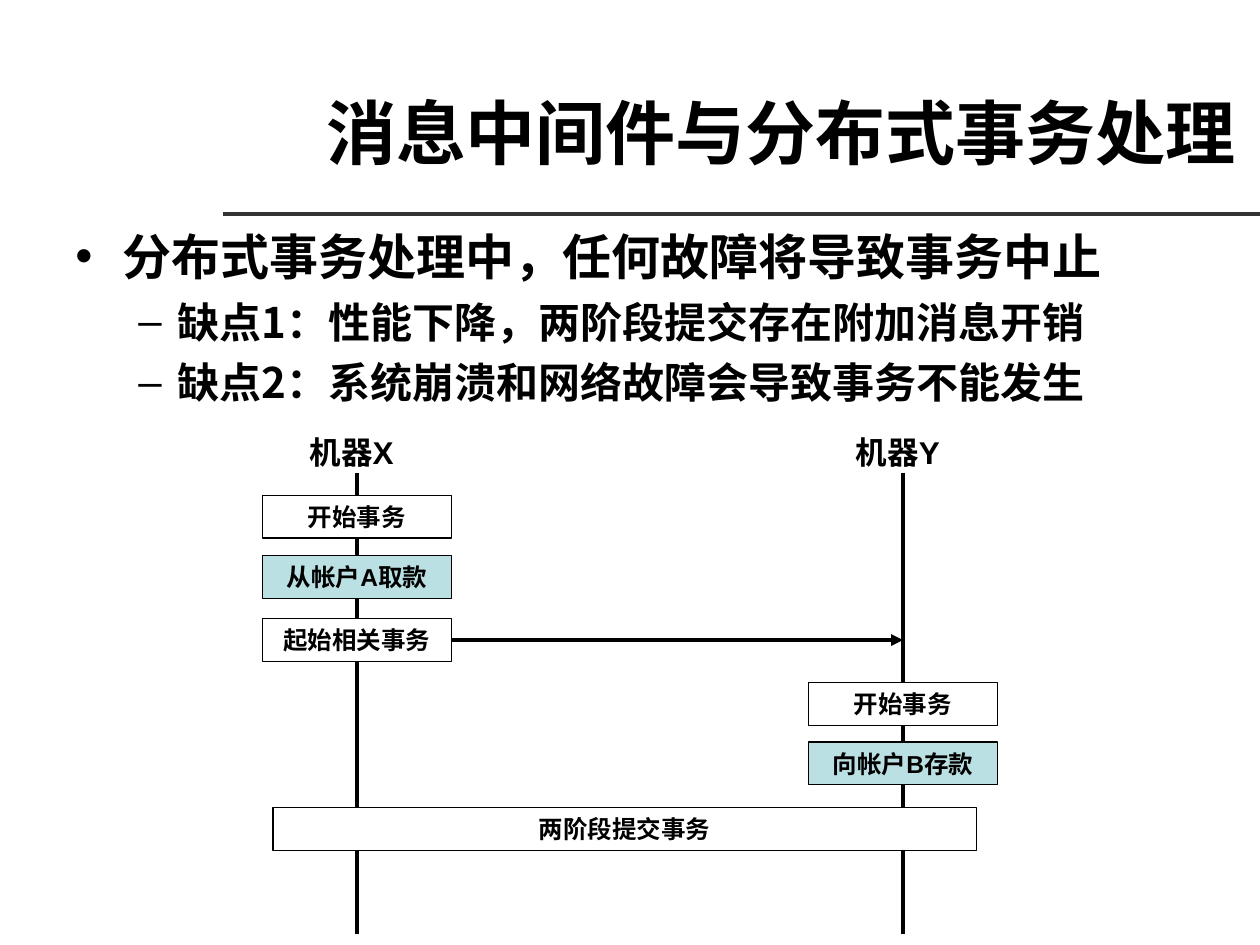
from dataclasses import dataclass

from lxml import etree
from pptx import Presentation
from pptx.dml.color import RGBColor
from pptx.enum import shapes, text
from pptx.oxml import ns
from pptx.util import Pt

BLACK = RGBColor(0x00, 0x00, 0x00)
GRAY = RGBColor(0x33, 0x33, 0x33)
WHITE = RGBColor(0xFF, 0xFF, 0xFF)
TEAL = RGBColor(0xBB, 0xE0, 0xE3)
CJK = "Noto Sans CJK SC"
LATIN = "Arial"

LINE_X, LINE_Y = 204, 516  # lifelines of the two machines
LINE_TOP, LINE_BOTTOM = 270, 534
BOX_W, BOX_H = 108, 24.5
MESSAGE_Y = 365.75


@dataclass
class Bullet:
    text: str
    size: float
    level: int
    mark: str
    indent: float
    hang: float
    before: float


@dataclass
class Step:
    text: str
    center: float
    top: float
    fill: RGBColor = WHITE
    width: float = BOX_W


BULLETS = [
    Bullet("分布式事务处理中，任何故障将导致事务中止", 28, 0, "•", 27, 27, 0),
    Bullet("缺点1：性能下降，两阶段提交存在附加消息开销", 24, 1, "–", 58.5, 22.5, 6),
    Bullet("缺点2：系统崩溃和网络故障会导致事务不能发生", 24, 1, "–", 58.5, 22.5, 6),
]
MACHINES = [("机器X", LINE_X), ("机器Y", LINE_Y)]
STEPS = [
    Step("开始事务", LINE_X, 283),
    Step("从帐户A取款", LINE_X, 317.5, TEAL),
    Step("起始相关事务", LINE_X, 353.5),
    Step("开始事务", LINE_Y, 390),
    Step("向帐户B存款", LINE_Y, 424, TEAL),
    Step("两阶段提交事务", 357, 461.5, width=402),
]


def add_xml(parent, tag: str, **attrs: str):
    return etree.SubElement(parent, ns.qn(tag), attrs)


def style(p, size: float, name: str) -> None:
    f = p.font
    f.size, f.bold, f.name = Pt(size), True, name
    f.color.rgb = BLACK
    add_xml(p._p.pPr.find(ns.qn("a:defRPr")), "a:ea", typeface=CJK)


def add_text(s, content: str, left: float, top: float, width: float,
             height: float, size: float, name: str, align, wrap: bool) -> None:
    tf = s.shapes.add_textbox(Pt(left), Pt(top), Pt(width), Pt(height)).text_frame
    tf.word_wrap = wrap
    tf.vertical_anchor = text.MSO_ANCHOR.MIDDLE
    p = tf.paragraphs[0]
    p.text, p.alignment = content, align
    style(p, size, name)


def add_bullets(s, bullets: list[Bullet]) -> None:
    tf = s.shapes.add_textbox(Pt(36), Pt(126), Pt(664.5), Pt(359.5)).text_frame
    tf.word_wrap = True
    for i, b in enumerate(bullets):
        p = tf.add_paragraph() if i else tf.paragraphs[0]
        p.text, p.level, p.space_before = b.text, b.level, Pt(b.before)
        pPr = p._p.get_or_add_pPr()
        pPr.set("marL", str(Pt(b.indent)))
        pPr.set("indent", str(-Pt(b.hang)))
        add_xml(add_xml(pPr, "a:buClr"), "a:srgbClr", val=str(BLACK))
        add_xml(pPr, "a:buFont", typeface=LATIN)
        add_xml(pPr, "a:buChar", char=b.mark)
        style(p, b.size, CJK)


def add_line(s, x1: float, y1: float, x2: float, y2: float,
             color: RGBColor = BLACK, arrow: bool = False) -> None:
    line = s.shapes.add_connector(
        shapes.MSO_CONNECTOR.STRAIGHT, Pt(x1), Pt(y1), Pt(x2), Pt(y2))
    line.line.color.rgb = color
    line.line.width = Pt(2.25)
    if arrow:
        add_xml(line.line._get_or_add_ln(), "a:tailEnd", type="triangle")
    add_xml(line._element.spPr, "a:effectLst")


def add_step(s, step: Step) -> None:
    sp = s.shapes.add_shape(
        shapes.MSO_SHAPE.RECTANGLE, Pt(step.center - step.width / 2),
        Pt(step.top), Pt(step.width), Pt(BOX_H))
    sp.shadow.inherit = False
    sp.fill.solid()
    sp.fill.fore_color.rgb = step.fill
    sp.line.color.rgb = BLACK
    sp.line.width = Pt(0.75)
    tf = sp.text_frame
    tf.word_wrap = True
    tf.vertical_anchor = text.MSO_ANCHOR.MIDDLE
    p = tf.paragraphs[0]
    p.text, p.alignment = step.text, text.PP_ALIGN.CENTER
    style(p, 14, LATIN)


def main() -> None:
    prs = Presentation()
    prs.slide_width, prs.slide_height = Pt(720), Pt(540)
    s = prs.slides.add_slide(prs.slide_layouts[6])

    # Title and rule
    add_line(s, 127.5, 122.4, 720, 122.4, GRAY)
    add_text(s, "消息中间件与分布式事务处理", 127.5, 27.4, 585.4, 95, 40, CJK,
             text.PP_ALIGN.RIGHT, True)

    # Bullets
    add_bullets(s, BULLETS)

    # Machines and their lifelines
    for name, x in MACHINES:
        add_text(s, name, x - 48, 246, 90, 24, 18, LATIN,
                 text.PP_ALIGN.CENTER, False)
        add_line(s, x, LINE_TOP, x, LINE_BOTTOM)

    # Message between machines, then the steps on top
    add_line(s, LINE_X, MESSAGE_Y, LINE_Y, MESSAGE_Y, arrow=True)
    for step in STEPS:
        add_step(s, step)

    prs.save("out.pptx")


if __name__ == "__main__":
    main()
